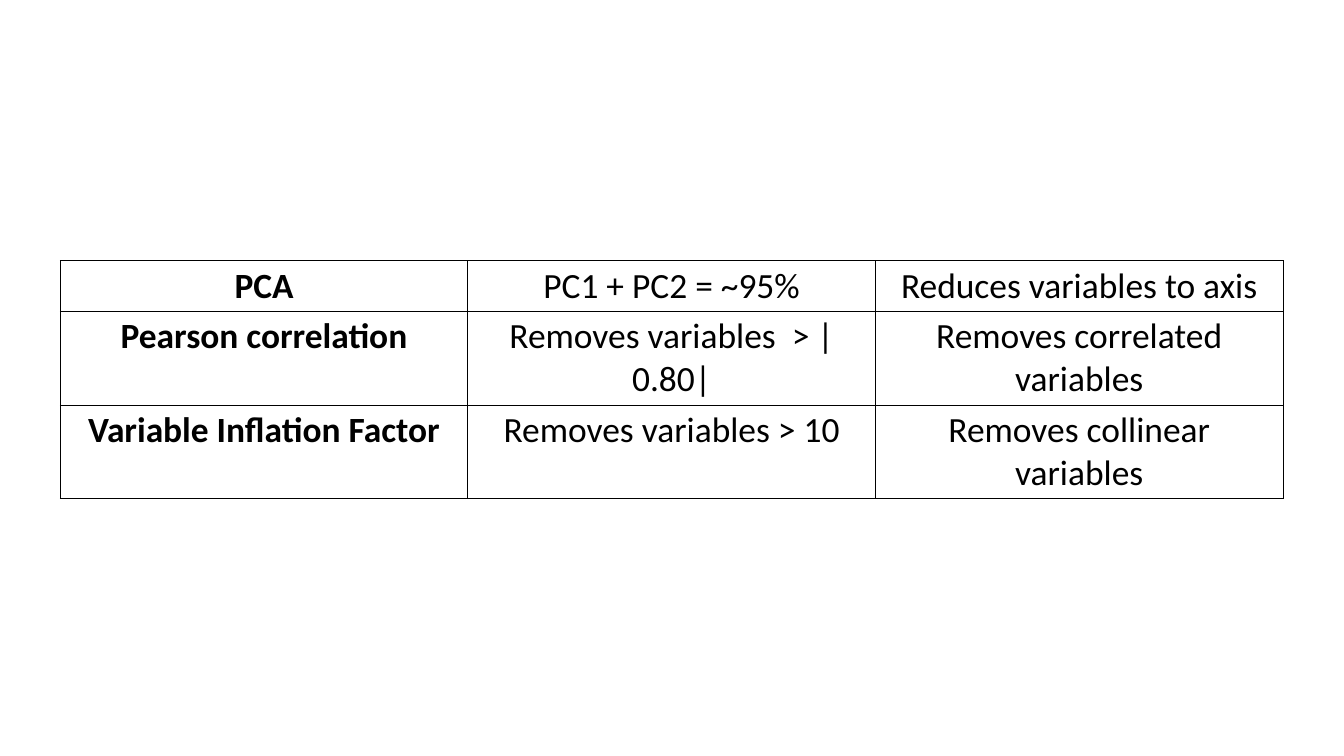
from dataclasses import dataclass

import pptx
import pptx.dml.color
import pptx.enum.text
import pptx.oxml
import pptx.oxml.ns
import pptx.table
import pptx.util

Pt = pptx.util.Pt
BLACK = "000000"
WHITE = "FFFFFF"


@dataclass
class Method:
    name: str
    criterion: str
    effect: str
    height: float


METHODS = [
    Method("PCA", "PC1 + PC2 = ~95%", "Reduces variables to axis", 51),
    Method("Pearson correlation", "Removes variables  > |0.80|",
           "Removes correlated variables", 95),
    Method("Variable Inflation Factor", "Removes variables > 10",
           "Removes collinear variables", 95),
]
COLUMNS = 3
COLUMN_WIDTH = 414


def rgb(value: str) -> pptx.dml.color.RGBColor:
    return pptx.dml.color.RGBColor.from_string(value)


def write(tf, text: str, *, size: float = 36, bold: bool = False,
          color: str = BLACK, font: str = "Calibri") -> None:
    p = tf.paragraphs[0]
    p.alignment = pptx.enum.text.PP_ALIGN.CENTER
    r = p.add_run()
    r.text = text
    r.font.name = font
    r.font.size = Pt(size)
    r.font.bold = bold
    r.font.color.rgb = rgb(color)


def add_borders(cell: pptx.table._Cell, width: float, color: str) -> None:
    tc_pr = cell._tc.get_or_add_tcPr()
    for i, side in enumerate(("lnL", "lnR", "lnT", "lnB")):
        line = pptx.oxml.parse_xml(
            f'<a:{side} {pptx.oxml.ns.nsdecls("a")} w="{Pt(width)}">'
            f'<a:solidFill><a:srgbClr val="{color}"/></a:solidFill></a:{side}>')
        tc_pr.insert(i, line)


def add_method(table: pptx.table.Table, row: int, method: Method) -> None:
    table.rows[row].height = Pt(method.height)
    for col, text in enumerate((method.name, method.criterion, method.effect)):
        cell = table.cell(row, col)
        cell.fill.solid()
        cell.fill.fore_color.rgb = rgb(WHITE)
        add_borders(cell, 1, BLACK)
        write(cell.text_frame, text, bold=col == 0)


def main() -> None:
    prs = pptx.Presentation()
    prs.slide_width = Pt(1365.12)
    prs.slide_height = Pt(768.24)
    s = prs.slides.add_slide(prs.slide_layouts[6])
    height = sum(m.height for m in METHODS)
    table = s.shapes.add_table(len(METHODS), COLUMNS, Pt(61.2), Pt(265),
                               Pt(COLUMNS * COLUMN_WIDTH), Pt(height)).table
    table.first_row = False
    table.horz_banding = False
    for row, method in enumerate(METHODS):
        add_method(table, row, method)
    prs.save("out.pptx")


if __name__ == "__main__":
    main()
